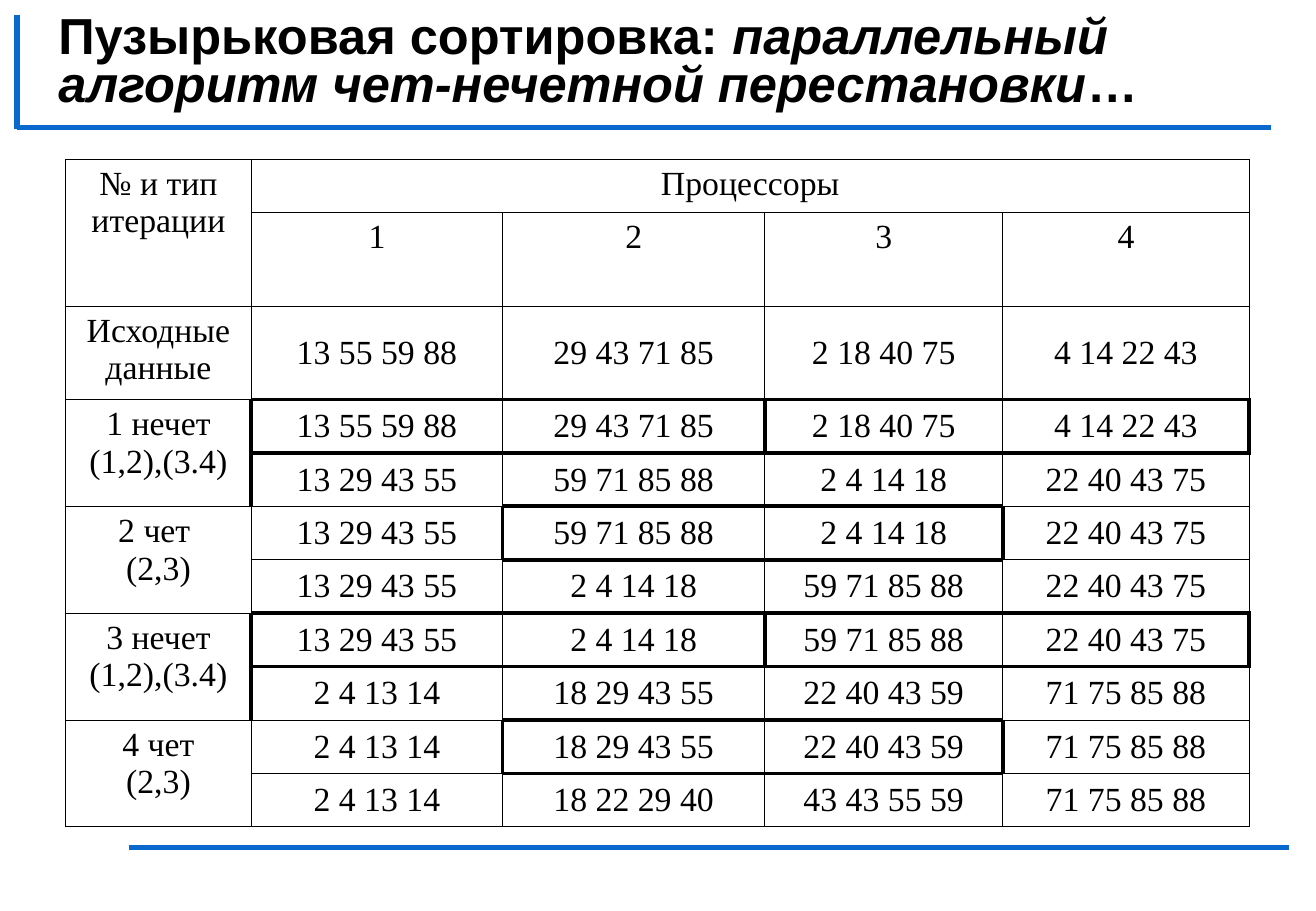
from lxml import etree
from pptx import Presentation
from pptx.dml.color import RGBColor
from pptx.enum import shapes, text
from pptx.oxml.ns import qn
from pptx.util import Inches, Pt

BLACK, BLUE = "000000", "0969CD"
THIN, THICK = 0.45, 2.5

COLUMN_WIDTHS = [1.53, 2.07, 2.16, 1.96, 2.03]
ROW_HEIGHTS = [0.44, 0.77, 0.77] + [0.44] * 8
ROWS = [
    ["№ и тип итерации", "Процессоры", "", "", ""],
    ["", "1", "2", "3", "4"],
    ["Исходные данные", "13 55 59 88", "29 43 71 85", "2 18 40 75", "4 14 22 43"],
    ["1 нечет (1,2),(3.4)", "13 55 59 88", "29 43 71 85", "2 18 40 75", "4 14 22 43"],
    ["", "13 29 43 55", "59 71 85 88", "2 4 14 18", "22 40 43 75"],
    ["2 чет \n(2,3)", "13 29 43 55", "59 71 85 88", "2 4 14 18", "22 40 43 75"],
    ["", "13 29 43 55", "2 4 14 18", "59 71 85 88", "22 40 43 75"],
    ["3 нечет (1,2),(3.4)", "13 29 43 55", "2 4 14 18", "59 71 85 88", "22 40 43 75"],
    ["", "2 4 13 14", "18 29 43 55", "22 40 43 59", "71 75 85 88"],
    ["4 чет\n(2,3)", "2 4 13 14", "18 29 43 55", "22 40 43 59", "71 75 85 88"],
    ["", "2 4 13 14", "18 22 29 40", "43 43 55 59", "71 75 85 88"],
]
# Compared processors in each iteration row: (first column, last column)
ODD_PAIRS, EVEN_PAIRS = [(1, 2), (3, 4)], [(2, 3)]
PAIRS = {3: ODD_PAIRS, 5: EVEN_PAIRS, 7: ODD_PAIRS, 9: EVEN_PAIRS}


def color(value):
    return RGBColor.from_string(value)


def format_font(font, name, size):
    font.name = name
    font.size = Pt(size)
    font.color.rgb = color(BLACK)


def add_title(slide, left, top, width, height):
    title = slide.shapes.title
    title.left, title.top = Inches(left), Inches(top)
    title.width, title.height = Inches(width), Inches(height)
    frame = title.text_frame
    frame.auto_size = text.MSO_AUTO_SIZE.NONE
    frame.word_wrap = True
    frame.vertical_anchor = text.MSO_ANCHOR.MIDDLE
    paragraph = frame.paragraphs[0]
    paragraph.alignment = text.PP_ALIGN.LEFT
    paragraph.line_spacing = 0.8
    for words, italic in [
        ("Пузырьковая сортировка: ", False),
        ("параллельный алгоритм чет-нечетной перестановки", True),
        ("…", False),
    ]:
        run = paragraph.add_run()
        run.text = words
        format_font(run.font, "Arial", 30)
        run.font.bold = True
        run.font.italic = italic


def add_rule(slide, x1, y1, x2, y2):
    rule = slide.shapes.add_connector(
        shapes.MSO_CONNECTOR.STRAIGHT, Inches(x1), Inches(y1), Inches(x2), Inches(y2))
    rule.line.color.rgb = color(BLUE)
    rule.line.width = Pt(3)
    etree.SubElement(rule._element.spPr, qn("a:effectLst"))


def vertical_border(row, boundary):
    """Width of the line left of column `boundary` in a row."""
    on_frame = any(boundary in (first, last + 1) for first, last in PAIRS.get(row, []))
    return THICK if on_frame else THIN


def horizontal_border(boundary, column):
    """Width of the line above row `boundary` in a column."""
    pairs = PAIRS.get(boundary, []) + PAIRS.get(boundary - 1, [])
    return THICK if any(first <= column <= last for first, last in pairs) else THIN


def set_borders(cell, row, column):
    widths = {
        "a:lnL": vertical_border(row, column),
        "a:lnR": vertical_border(row, column + 1),
        "a:lnT": horizontal_border(row, column),
        "a:lnB": horizontal_border(row + 1, column),
    }
    properties = cell._tc.get_or_add_tcPr()
    for index, (tag, width) in enumerate(widths.items()):
        line = etree.Element(qn(tag), w=str(Pt(width)))
        fill = etree.SubElement(line, qn("a:solidFill"))
        etree.SubElement(fill, qn("a:srgbClr"), val=BLACK)
        properties.insert(index, line)


def fill_cell(cell, words, row, column):
    cell.fill.background()
    set_borders(cell, row, column)
    is_data = row >= 2 and column >= 1
    cell.vertical_anchor = text.MSO_ANCHOR.MIDDLE if is_data else text.MSO_ANCHOR.TOP
    cell.text_frame.text = words
    for paragraph in cell.text_frame.paragraphs:
        paragraph.alignment = text.PP_ALIGN.CENTER
        format_font(paragraph.font, "Times New Roman", 20)
        for run in paragraph.runs:
            format_font(run.font, "Times New Roman", 20)


def add_iterations_table(slide, left, top):
    table = slide.shapes.add_table(
        len(ROWS), len(COLUMN_WIDTHS), Inches(left), Inches(top),
        Inches(sum(COLUMN_WIDTHS)), Inches(sum(ROW_HEIGHTS))).table
    table.first_row = table.horz_banding = False
    for column, width in zip(table.columns, COLUMN_WIDTHS):
        column.width = Inches(width)
    for row, height in zip(table.rows, ROW_HEIGHTS):
        row.height = Inches(height)
    for row, values in enumerate(ROWS):
        for column, words in enumerate(values):
            fill_cell(table.cell(row, column), words, row, column)
    # Header spans, then one two-row label for each iteration
    table.cell(0, 1).merge(table.cell(0, 4))
    for row in [0, *PAIRS]:
        table.cell(row, 0).merge(table.cell(row + 1, 0))


def main():
    presentation = Presentation()
    presentation.slide_width = Inches(10.84)
    presentation.slide_height = Inches(7.5)
    slide = presentation.slides.add_slide(presentation.slide_layouts[5])

    # Blue rules around the title and at the foot
    add_rule(slide, 1.06, 6.98, 10.62, 6.98)
    add_rule(slide, 0.14, 1.05, 10.47, 1.05)
    add_rule(slide, 0.14, 0.12, 0.14, 1.06)

    add_title(slide, 0.38, 0.22, 9.93, 0.61)
    add_iterations_table(slide, 0.54, 1.31)
    presentation.save("out.pptx")


if __name__ == "__main__":
    main()
